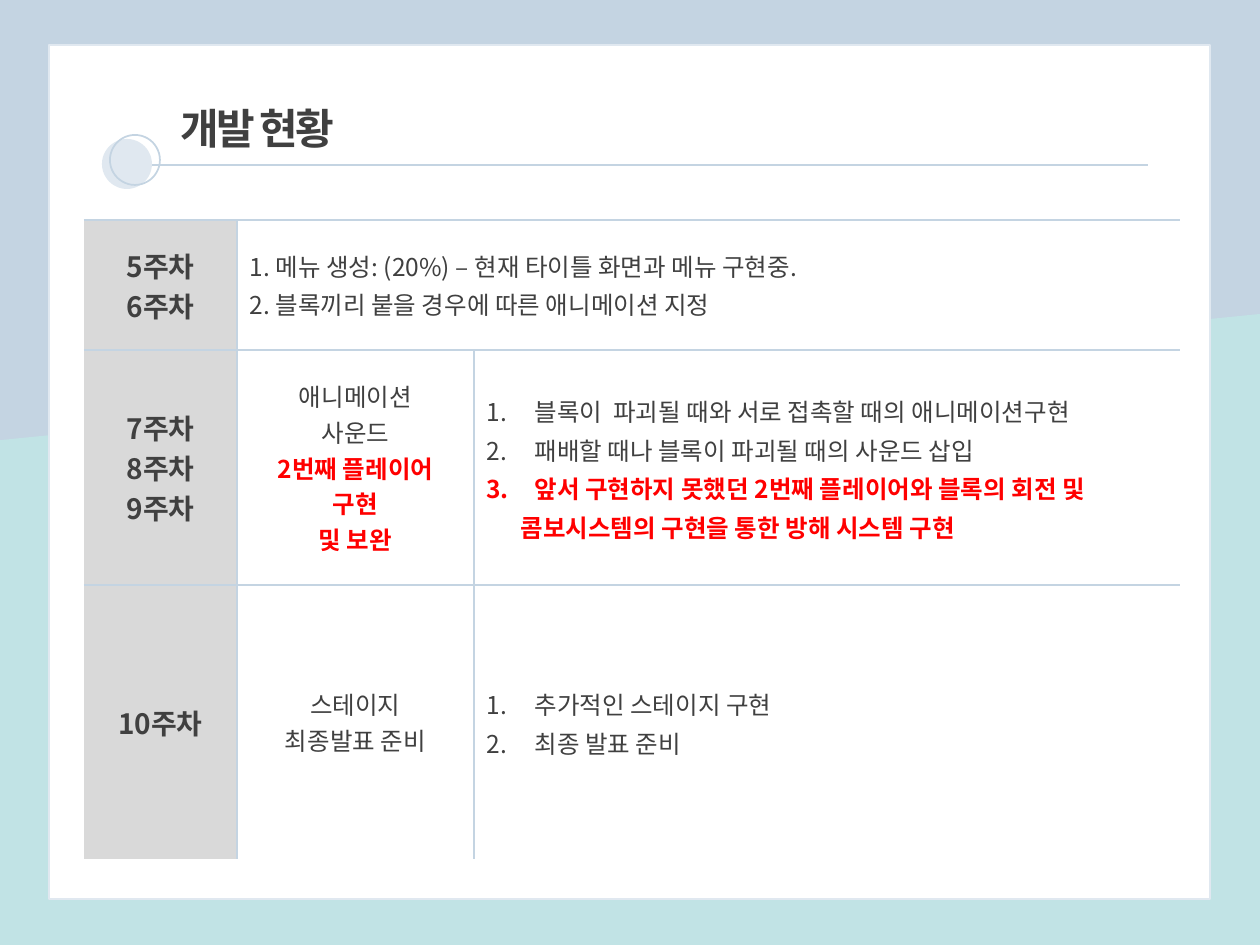
from lxml import etree
from pptx import Presentation
from pptx.dml.color import RGBColor
from pptx.enum.shapes import MSO_CONNECTOR, MSO_SHAPE
from pptx.enum.text import MSO_ANCHOR, MSO_AUTO_SIZE, PP_ALIGN
from pptx.oxml.ns import qn
from pptx.util import Pt

SCALE = 914400 / 126
RECT = MSO_SHAPE.RECTANGLE
SLOPE = MSO_SHAPE.FLOWCHART_MANUAL_INPUT
ROUND = MSO_SHAPE.ROUNDED_RECTANGLE
OVAL = MSO_SHAPE.OVAL
STRAIGHT = MSO_CONNECTOR.STRAIGHT
MIDDLE = MSO_ANCHOR.MIDDLE
FIT = MSO_AUTO_SIZE.SHAPE_TO_FIT_TEXT
LEFT, CENTER = PP_ALIGN.LEFT, PP_ALIGN.CENTER
FONT = "Noto Sans CJK KR"
PLAIN = "{2D5ABB26-0587-4C30-8999-92F81FD0307C}"
COLORS = {"sky": "C4D4E2", "mint": "C1E3E5", "pale": "E0E8F0", "white": "FFFFFF",
          "gray": "D9D9D9", "text": "404040", "red": "FF0000"}
COLS = [153, 237, 706]
ROWS = [130, 235, 274]
WEEKS = [["5주차", "6주차"], ["7주차", "8주차", "9주차"], ["10주차"]]
MENU = ["1. 메뉴 생성: (20%) – 현재 타이틀 화면과 메뉴 구현중.",
        "2. 블록끼리 붙을 경우에 따른 애니메이션 지정"]
TOPICS = {1: (["애니메이션", "사운드"], ["2번째 플레이어", "구현", "및 보완"]),
          2: (["스테이지", "최종발표 준비"], [])}
TASKS = {1: ["블록이  파괴될 때와 서로 접촉할 때의 애니메이션구현",
             "패배할 때나 블록이 파괴될 때의 사운드 삽입"],
         2: ["추가적인 스테이지 구현", "최종 발표 준비"]}
URGENT = "앞서 구현하지 못했던 2번째 플레이어와 블록의 회전 및"
REST = "콤보시스템의 구현을 통한 방해 시스템 구현"


def px(*nums):
    """Turn pixels into EMU."""
    return [round(num * SCALE) for num in nums]


def tint(name):
    """Look up a colour."""
    return RGBColor.from_string(COLORS[name])


def add_shape(slide, kind, box, fill=None, line=None):
    """Add a flat shape."""
    shape = slide.shapes.add_shape(kind, *px(*box))
    shape.shadow.inherit = False
    if fill:
        shape.fill.solid()
        shape.fill.fore_color.rgb = tint(fill)
    else:
        shape.fill.background()
    if line:
        shape.line.color.rgb = tint(line)
        shape.line.width = Pt(1)
    else:
        shape.line.fill.background()
    return shape


def add_rule(slide, ends):
    """Add the line under the title."""
    rule = slide.shapes.add_connector(STRAIGHT, *px(*ends))
    rule.line.color.rgb = tint("sky")
    rule.line.width = Pt(1.5)
    etree.SubElement(rule.element.spPr, qn("a:effectLst"))


def add_run(para, text, size, color="text", bold=False):
    """Add a styled run."""
    run = para.add_run()
    run.text = text
    run.font.size = Pt(size)
    run.font.bold = bold
    run.font.name = FONT
    run.font.color.rgb = tint(color)
    props = run.font._element
    etree.SubElement(props, qn("a:ea"), typeface=FONT)
    return props


def add_lines(frame, lines, size=14, color="text", bold=False,
              align=LEFT, lead=None, indent=0, number=False):
    """Append paragraphs, numbered on request."""
    for text in lines:
        first = frame.paragraphs[0]
        para = frame.add_paragraph() if first.runs else first
        para.alignment = align
        if lead:
            para.line_spacing = Pt(lead)
        if indent:
            props = para._p.get_or_add_pPr()
            props.set("marL", str(px(indent)[0]))
            props.set("indent", str(px(-indent)[0] if number else 0))
            if number:
                etree.SubElement(props, qn("a:buAutoNum"), type="arabicPeriod")
        add_run(para, text, size, color, bold)


def set_edges(cell, sides):
    """Draw the named sides of a cell and clear the rest."""
    props = cell._tc.get_or_add_tcPr()
    for side in "LRTB":
        edge = etree.SubElement(props, qn("a:ln" + side), w=str(Pt(1)))
        if side in sides:
            fill = etree.SubElement(edge, qn("a:solidFill"))
            etree.SubElement(fill, qn("a:srgbClr"), val=COLORS["sky"])
        else:
            etree.SubElement(edge, qn("a:noFill"))


def add_grid(slide):
    """Add the empty schedule table."""
    box = px(84, 220, sum(COLS), sum(ROWS))
    table = slide.shapes.add_table(len(ROWS), len(COLS), *box).table
    table.first_row = table.horz_banding = False
    table._tbl.tblPr.find(qn("a:tableStyleId")).text = PLAIN
    for col, width in zip(table.columns, px(*COLS)):
        col.width = width
    for row, height in zip(table.rows, px(*ROWS)):
        row.height = height
    table.cell(0, 1).merge(table.cell(0, 2))
    for r in range(len(ROWS)):
        for c in range(len(COLS)):
            cell = table.cell(r, c)
            sides = "T" + ("B" if r < 2 else "")
            if c and not cell.is_spanned:
                sides += "L"
            if c < 2 and not cell.is_merge_origin:
                sides += "R"
            set_edges(cell, sides)
            cell.vertical_anchor = MIDDLE
            if c:
                cell.fill.background()
            else:
                cell.fill.solid()
                cell.fill.fore_color.rgb = tint("gray")
    return table


def fill_grid(table):
    """Write the schedule."""
    for r, weeks in enumerate(WEEKS):
        add_lines(table.cell(r, 0).text_frame, weeks, 16, bold=True, align=CENTER)
    menu = table.cell(0, 1).text_frame
    add_lines(menu, MENU[:1])
    add_lines(menu, MENU[1:], lead=22)
    for r, (usual, added) in TOPICS.items():
        frame = table.cell(r, 1).text_frame
        add_lines(frame, usual, align=CENTER)
        add_lines(frame, added, color="red", bold=True, align=CENTER)
    for r, tasks in TASKS.items():
        add_lines(table.cell(r, 2).text_frame, tasks, lead=22, indent=48, number=True)
    frame = table.cell(1, 2).text_frame
    add_lines(frame, [URGENT], color="red", bold=True, lead=22, indent=48, number=True)
    add_lines(frame, [REST], color="red", bold=True, lead=22, indent=34)


def add_title(slide, text):
    """Add the heading."""
    frame = slide.shapes.add_textbox(*px(168, 96, 193, 63)).text_frame
    frame.word_wrap = False
    frame.auto_size = FIT
    add_run(frame.paragraphs[0], text, 24, bold=True).set("spc", "-150")


def main():
    """Build the slide."""
    deck = Presentation()
    deck.slide_width, deck.slide_height = px(1260, 945)
    slide = deck.slides.add_slide(deck.slide_layouts[6])
    add_shape(slide, RECT, (0, 0, 1260, 945), "sky")
    add_shape(slide, SLOPE, (0, 314, 1260, 631), "mint")
    card = add_shape(slide, ROUND, (49, 45, 1161, 854), "white", "pale")
    card.adjustments[0] = 0
    add_rule(slide, (112, 165, 1148, 165))
    add_shape(slide, OVAL, (102, 139, 50, 50), "pale")
    add_shape(slide, OVAL, (110, 135, 50, 50), line="sky")
    fill_grid(add_grid(slide))
    add_title(slide, "개발 현황")
    deck.save("out.pptx")


if __name__ == "__main__":
    main()
